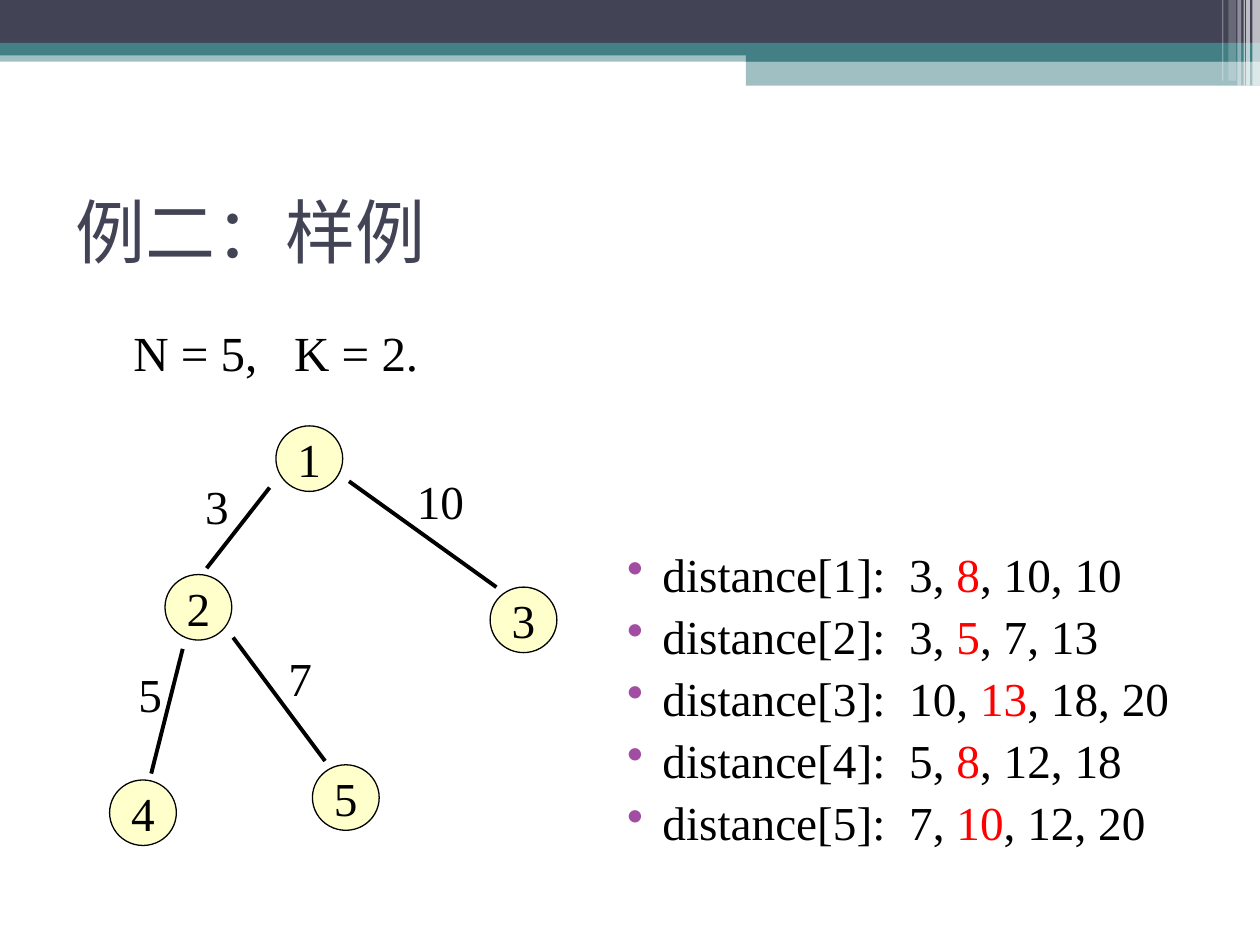
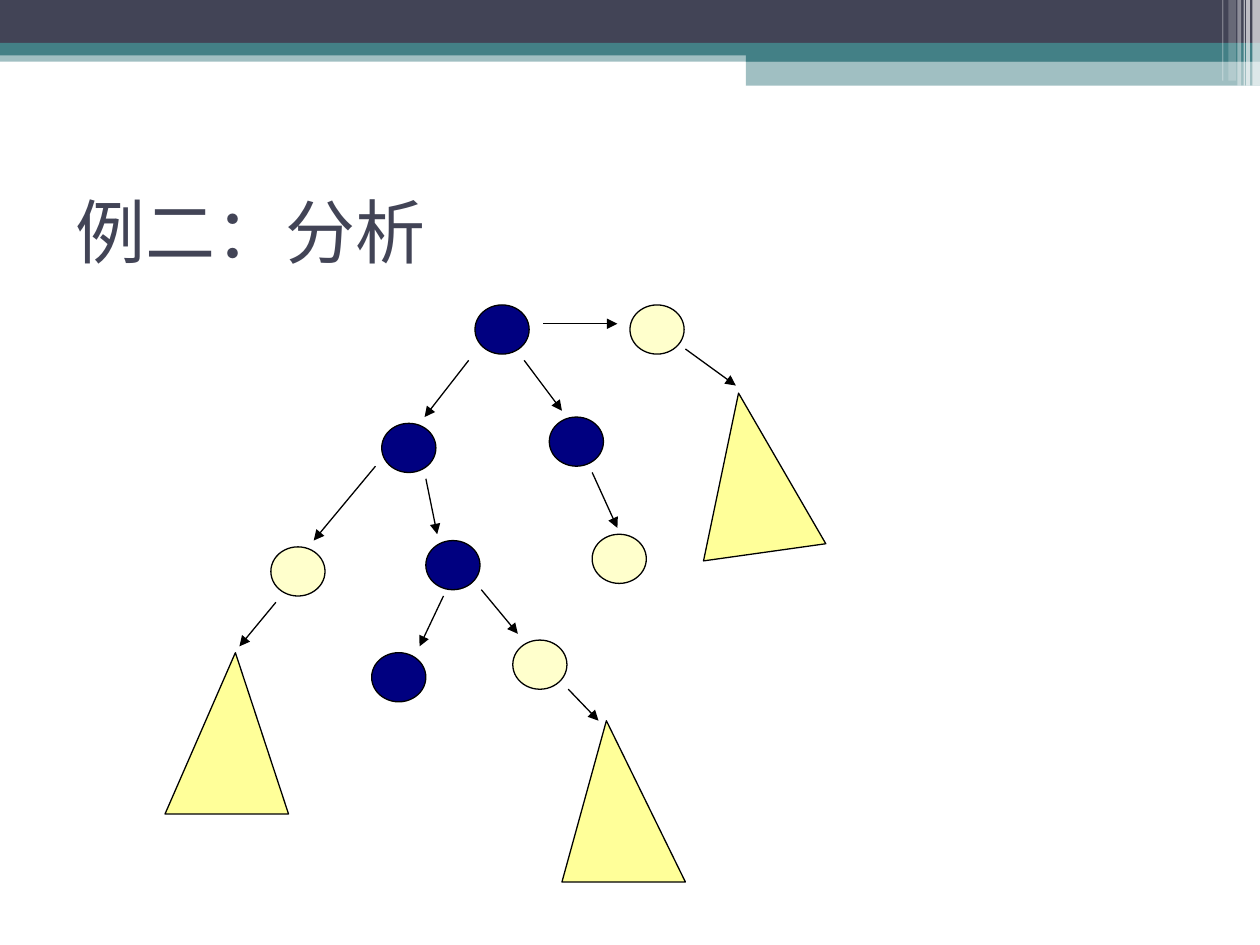
from lxml import etree
from pptx import Presentation
from pptx.dml.color import RGBColor
from pptx.enum.shapes import MSO_CONNECTOR, MSO_SHAPE
from pptx.enum.text import MSO_ANCHOR, PP_ALIGN
from pptx.oxml.ns import qn
from pptx.util import Inches, Pt

RECTANGLE = MSO_SHAPE.RECTANGLE
OVAL = MSO_SHAPE.OVAL
TRIANGLE = MSO_SHAPE.ISOSCELES_TRIANGLE
STRAIGHT = MSO_CONNECTOR.STRAIGHT
MIDDLE = MSO_ANCHOR.MIDDLE
CENTER = PP_ALIGN.CENTER

COLORS = {
    "slate": "424456", "teal": "438086", "white": "FFFFFF", "black": "000000",
    "red": "FF0000", "bullet": "A04DA3", "cream": "FFFFCC", "navy": "000080",
    "yellow": "FFFF99",
}
TITLE_FONT, BODY_FONT = "Lato", "Times New Roman"
BODY_SIZE = 27

# Header parts: left, top, width, height, color, opacity in percent
HEADER_BANDS = [
    (0, 0.4, 10, 0.09, "teal", 50),
    (0, 0, 10, 0.34, "slate", 100),
    (0, 0.34, 10, 0.1, "teal", 100),
    (5.92, 0.39, 4.08, 0.1, "teal", 100),
    (5.92, 0.48, 4.08, 0.2, "teal", 50),
    (9.94, 0, 0.06, 0.68, "white", 65),
    (9.89, 0, 0.03, 0.68, "white", 65),
    (9.87, 0, 0.01, 0.68, "white", 60),
    (9.82, 0, 0.03, 0.68, "white", 40),
    (9.75, 0, 0.06, 0.64, "white", 20),
    (9.7, 0, 0.01, 0.64, "white", 30),
]

# Sample tree, measured from its box
SAMPLE_NODES = [("1", 1.32, 0), ("2", 0.44, 1.18), ("3", 3.02, 1.28),
                ("4", 0, 2.81), ("5", 1.61, 2.69)]
SAMPLE_EDGES = [(1.27, 0.49, 0.77, 1.13), (1.9, 0.44, 3.07, 1.28),
                (0.58, 1.77, 0.33, 2.76), (0.98, 1.68, 1.71, 2.66)]
EDGE_WEIGHTS = [("10", 2.34, 0.32), ("3", 0.66, 0.36),
                ("7", 1.32, 1.72), ("5", 0.13, 1.85)]

# Each node's sorted distances; the K-th is highlighted
K = 2
DISTANCES = [(3, 8, 10, 10), (3, 5, 7, 13), (10, 13, 18, 20),
             (5, 8, 12, 18), (7, 10, 12, 20)]

# Analysis tree, measured from its box
ANALYSIS_NODES = {
    "cream": [(2.76, 2.66), (0.84, 1.92), (3.39, 1.82), (3.69, 0)],
    "navy": [(1.72, 0.94), (2.46, 0), (3.05, 0.89), (2.07, 1.87), (1.64, 2.76)],
}
ANALYSIS_ARROWS = [
    (2.41, 0.44, 2.06, 0.89), (2.85, 0.44, 3.15, 0.84), (3, 0.15, 3.59, 0.15),
    (1.67, 1.28, 1.18, 1.87), (2.07, 1.38, 2.16, 1.82), (3.39, 1.33, 3.59, 1.77),
    (2.21, 2.31, 2.02, 2.71), (2.51, 2.26, 2.8, 2.61), (0.88, 2.36, 0.59, 2.71),
    (3.2, 3.05, 3.44, 3.3), (4.13, 0.35, 4.53, 0.64),
]
# Left, top, apex position, rotation
SUBTREES = [(0, 2.76, 0.57, 0), (4.18, 0.69, 0.47, -8), (3.15, 3.3, 0.36, 0)]


def rgb(name):
    return RGBColor.from_string(COLORS[name])


def add_run(paragraph, text, size=BODY_SIZE, color="black", font=BODY_FONT):
    run = paragraph.add_run()
    run.text = text
    run.font.size = Pt(size)
    run.font.name = font
    run.font.color.rgb = rgb(color)
    return run


def add_gap(paragraph, points, size=BODY_SIZE):
    """Add one space widened by the given letter spacing."""
    run = add_run(paragraph, " ", size)
    run.font._element.set("spc", str(round(points * 100)))


def add_text_box(slide, left, top, width, height):
    box = slide.shapes.add_textbox(Inches(left), Inches(top), Inches(width), Inches(height))
    box.text_frame.word_wrap = True
    return box.text_frame


def add_filled(slide, kind, left, top, width, height, color, outlined=True):
    shape = slide.shapes.add_shape(kind, Inches(left), Inches(top), Inches(width), Inches(height))
    shape.shadow.inherit = False
    shape.fill.solid()
    shape.fill.fore_color.rgb = rgb(color)
    if outlined:
        shape.line.color.rgb = rgb("black")
        shape.line.width = Pt(0.75)
    else:
        shape.line.fill.background()
    return shape


def add_line(slide, left, top, ends, width, arrow=False):
    x1, y1, x2, y2 = ends
    line = slide.shapes.add_connector(STRAIGHT, Inches(left + x1), Inches(top + y1),
                                      Inches(left + x2), Inches(top + y2))
    line.line.color.rgb = rgb("black")
    line.line.width = Pt(width)
    if arrow:
        etree.SubElement(line.line._get_or_add_ln(), qn("a:tailEnd"), type="triangle")
    etree.SubElement(line._element.spPr, qn("a:effectLst"))


def add_bullet(paragraph):
    properties = paragraph._p.get_or_add_pPr()
    properties.set("marL", str(Inches(0.4)))
    properties.set("indent", str(Inches(-0.28)))
    color = etree.SubElement(properties, qn("a:buClr"))
    etree.SubElement(color, qn("a:srgbClr"), val=COLORS["bullet"])
    etree.SubElement(properties, qn("a:buChar"), char="•")


def add_header(slide):
    for left, top, width, height, color, opacity in HEADER_BANDS:
        band = add_filled(slide, RECTANGLE, left, top, width, height, color, outlined=False)
        if opacity < 100:
            fill_color = band._element.spPr.find(qn("a:solidFill"))[0]
            etree.SubElement(fill_color, qn("a:alpha"), val=str(opacity * 1000))


def add_titled_slide(presentation, title):
    slide = presentation.slides.add_slide(presentation.slide_layouts[6])
    add_header(slide)
    frame = add_text_box(slide, 0.5, 1.25, 9, 1.16)
    frame.vertical_anchor = MIDDLE
    add_run(frame.paragraphs[0], title, 40, "slate", TITLE_FONT)
    return slide


def add_sample_tree(slide, left, top):
    for label, x, y in SAMPLE_NODES:
        node = add_filled(slide, OVAL, left + x, top + y, 0.53, 0.52, "cream")
        frame = node.text_frame
        frame.word_wrap = False
        frame.vertical_anchor = MIDDLE
        frame.paragraphs[0].alignment = CENTER
        add_run(frame.paragraphs[0], label)
    for ends in SAMPLE_EDGES:
        add_line(slide, left, top, ends, 2.25)
    for weight, x, y in EDGE_WEIGHTS:
        frame = add_text_box(slide, left + x, top + y, 0.41 * len(weight), 0.55)
        add_run(frame.paragraphs[0], weight)


def add_parameters(slide, left, top):
    paragraph = add_text_box(slide, left, top, 2.84, 0.57).paragraphs[0]
    add_run(paragraph, "N = 5,", 28)
    add_gap(paragraph, 14, 28)
    add_run(paragraph, f"K = {K}.", 28)


def add_distance_list(slide, left, top):
    frame = add_text_box(slide, left, top, 4.87, 2.67)
    for number, distances in enumerate(DISTANCES, 1):
        if number == 1:
            paragraph = frame.paragraphs[0]
        else:
            paragraph = frame.add_paragraph()
            paragraph.space_before = Pt(3)
        add_bullet(paragraph)
        add_run(paragraph, f"distance[{number}]:")
        add_gap(paragraph, 6.75)
        for position, distance in enumerate(distances, 1):
            if position > 1:
                add_run(paragraph, ", ")
            add_run(paragraph, str(distance), color="red" if position == K else "black")


def add_analysis_tree(slide, left, top):
    for color, places in ANALYSIS_NODES.items():
        for x, y in places:
            add_filled(slide, OVAL, left + x, top + y, 0.43, 0.39, color)
    for ends in ANALYSIS_ARROWS:
        add_line(slide, left, top, ends, 0.75, arrow=True)
    for x, y, apex, rotation in SUBTREES:
        subtree = add_filled(slide, TRIANGLE, left + x, top + y, 0.98, 1.28, "yellow")
        subtree.adjustments[0] = apex
        subtree.rotation = rotation


def main():
    presentation = Presentation()
    presentation.slide_width = Inches(10)
    presentation.slide_height = Inches(7.5)

    sample = add_titled_slide(presentation, "例二：样例")
    add_sample_tree(sample, 0.87, 3.38)
    add_parameters(sample, 0.96, 2.51)
    add_distance_list(sample, 4.76, 4.28)

    analysis = add_titled_slide(presentation, "例二：分析")
    add_analysis_tree(analysis, 1.31, 2.42)

    presentation.save("out.pptx")


if __name__ == "__main__":
    main()
